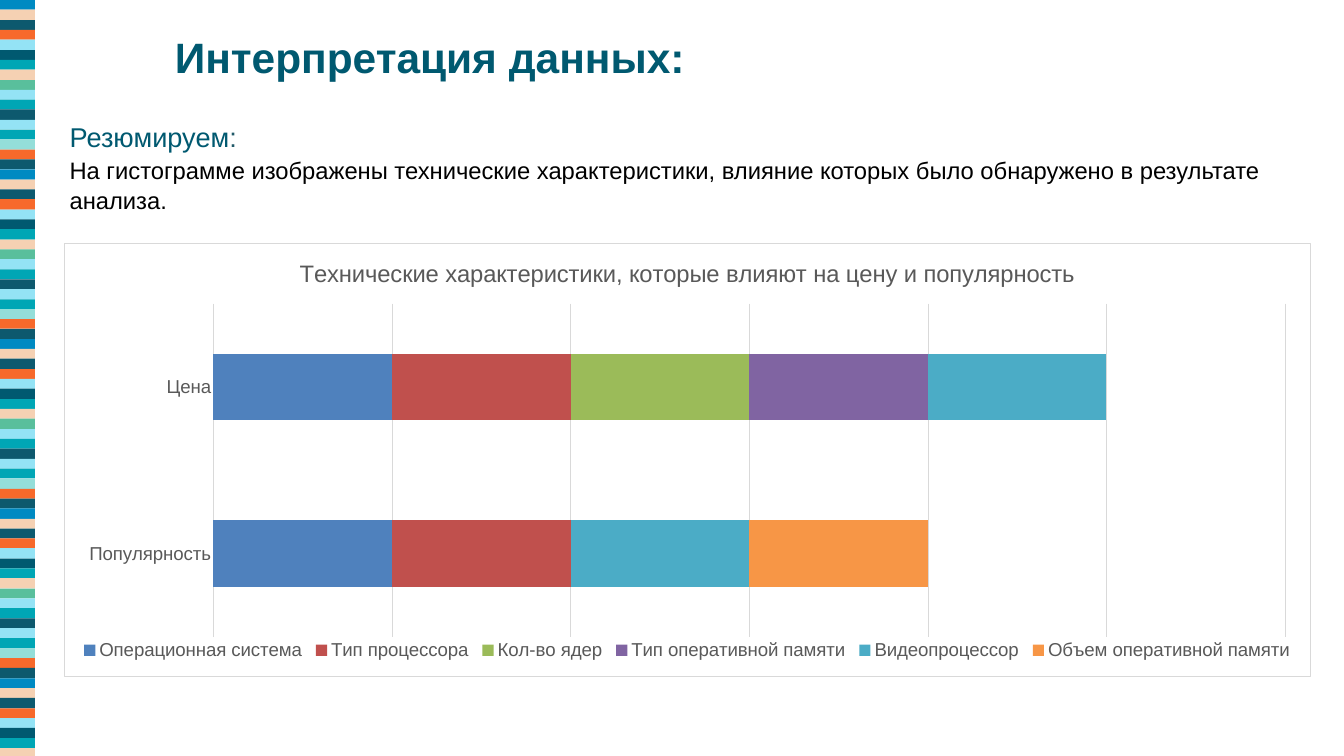
"""Builds the data interpretation slide with its stripe band and stacked bar chart."""
from lxml import etree
from pptx import Presentation
from pptx.chart.data import CategoryChartData
from pptx.dml.color import RGBColor
from pptx.enum.chart import XL_CHART_TYPE as CT, XL_LEGEND_POSITION as LP, XL_TICK_MARK as TM
from pptx.enum.shapes import MSO_SHAPE as SHAPE
from pptx.enum.text import MSO_ANCHOR as ANCHOR, MSO_AUTO_SIZE as FIT, PP_ALIGN as ALIGN
from pptx.oxml import parse_xml
from pptx.oxml.ns import nsdecls, qn
from pptx.util import Pt

PX = 9144
WIDTH, HEIGHT = 2199, 1237
FONT = "Arial"
COLORS = {
    "blue": "008AC2", "peach": "F5D1B3", "petrol": "0D596E", "orange": "F7692B",
    "sky": "94E3F5", "deep": "005970", "teal": "00A6B5", "green": "59BF9C",
    "mint": "94DED9", "slate": "215968", "black": "000000", "white": "FFFFFF",
    "label": "595959", "grid": "D9D9D9",
}
STRIPES = ("blue peach petrol orange sky deep teal peach green sky teal "
           "petrol sky teal mint orange petrol").split()
STRIPE_COUNT, STRIPE_WIDTH, PERIOD = 76, 57, 277.4
CATEGORIES = ["Популярность", "Цена"]
SERIES = [
    ("Операционная система", (100, 100), "4F81BD"),
    ("Тип процессора", (100, 100), "C0504D"),
    ("Кол-во ядер", (0, 100), "9BBB59"),
    ("Тип оперативной памяти", (0, 100), "8064A2"),
    ("Видеопроцессор", (100, 100), "4BACC6"),
    ("Объем оперативной памяти", (100, 0), "F79646"),
]


def rgb(name):
    return RGBColor.from_string(COLORS[name])


def box(*lengths):
    return [n * PX for n in lengths]


def style_font(font, size, color, bold=False):
    font.name, font.size, font.bold = FONT, Pt(size), bold
    font.color.rgb = rgb(color)


def style_line(line):
    line.color.rgb = rgb("grid")
    line.width = Pt(0.75)


def add_stripes(slide):
    group = slide.shapes.add_group_shape()
    edges = [min(round(i * PERIOD / len(STRIPES)), HEIGHT) for i in range(STRIPE_COUNT + 1)]
    for i, (top, bottom) in enumerate(zip(edges, edges[1:])):
        sp = group.shapes.add_shape(SHAPE.RECTANGLE, *box(0, top, STRIPE_WIDTH, bottom - top))
        sp.shadow.inherit = False
        sp.fill.solid()
        sp.fill.fore_color.rgb = rgb(STRIPES[i % len(STRIPES)])
        sp.line.fill.background()


def set_text(sp, place, paragraphs):
    sp.left, sp.top, sp.width, sp.height = box(*place)
    tf = sp.text_frame
    tf.word_wrap = True
    tf.auto_size = FIT.SHAPE_TO_FIT_TEXT
    tf.vertical_anchor = ANCHOR.TOP
    for i, (text, size, color, bold) in enumerate(paragraphs):
        p = tf.add_paragraph() if i else tf.paragraphs[0]
        p.text = text
        p.alignment = ALIGN.LEFT
        p.line_spacing = 1.07
        style_font(p.font, size, color, bold)
    return tf


def add_summary(slide):
    place = (104, 189, 2040, 167)
    tf = set_text(slide.shapes.add_textbox(*box(*place)), place, [
        ("Резюмируем", 32, "deep", False),
        ("На гистограмме изображены технические характеристики, влияние которых "
         "было обнаружено в результате анализа.", 28, "black", False),
    ])
    r = tf.paragraphs[0].add_run()
    r.text = ":"
    r.font.color.rgb = rgb("slate")


def set_layout(parent, index, place, inner=False):
    for old in parent.findall(qn("c:layout")):
        parent.remove(old)
    layout = etree.Element(qn("c:layout"))
    manual = etree.SubElement(layout, qn("c:manualLayout"))
    values = [("layoutTarget", "inner")] if inner else []
    values += [("xMode", "edge"), ("yMode", "edge"), *zip("xywh", place)]
    for tag, value in values:
        etree.SubElement(manual, qn(f"c:{tag}")).set("val", str(value))
    parent.insert(index, layout)


def frame_chart(chart):
    space = chart.element
    space.find(qn("c:chart")).addnext(parse_xml(
        f'<c:spPr {nsdecls("c", "a")}>'
        f'<a:solidFill><a:srgbClr val="{COLORS["white"]}"/></a:solidFill>'
        f'<a:ln w="{Pt(0.75)}"><a:solidFill><a:srgbClr val="{COLORS["grid"]}"/>'
        '</a:solidFill></a:ln></c:spPr>'))


def add_bar_chart(slide):
    data = CategoryChartData()
    data.categories = CATEGORIES
    for name, values, _ in SERIES:
        data.add_series(name, values)
    chart = slide.shapes.add_chart(CT.BAR_STACKED, *box(104, 397, 2040, 710), data).chart
    style_font(chart.font, 10, "black")

    chart.has_title = True
    p = chart.chart_title.text_frame.paragraphs[0]
    p.text = "Технические характеристики, которые влияют на цену и популярность"
    style_font(p.font, 28, "label")
    chart.chart_title.include_in_layout = False

    plot = chart.plots[0]
    plot.gap_width, plot.overlap, plot.vary_by_categories = 150, 100, False
    for series, (_, _, color) in zip(plot.series, SERIES):
        series.format.fill.solid()
        series.format.fill.fore_color.rgb = RGBColor.from_string(color)

    cats, vals = chart.category_axis, chart.value_axis
    cats.major_tick_mark = cats.minor_tick_mark = TM.NONE
    style_font(cats.tick_labels.font, 22, "label")
    style_line(cats.format.line)
    vals.minimum_scale, vals.maximum_scale, vals.major_unit = 0, 600, 100
    vals.has_major_gridlines = True
    style_line(vals.major_gridlines.format.line)
    vals.visible = False

    chart.has_legend = True
    legend = chart.legend
    legend.position = LP.BOTTOM
    legend.include_in_layout = False
    style_font(legend.font, 22, "label")
    set_layout(chart.element.find(".//" + qn("c:plotArea")), 0, (0.12, 0.14, 0.86, 0.77), True)
    set_layout(chart.element.find(".//" + qn("c:legend")), 1, (0.01, 0.9, 0.98, 0.08))
    frame_chart(chart)


def main():
    prs = Presentation()
    prs.slide_width, prs.slide_height = box(WIDTH, HEIGHT)
    slide = prs.slides.add_slide(prs.slide_layouts[5])
    add_stripes(slide)
    set_text(slide.shapes.title, (276, 40, 972, 100),
             [("Интерпретация данных:", 50, "deep", True)])
    add_summary(slide)
    add_bar_chart(slide)
    prs.save("out.pptx")


if __name__ == "__main__":
    main()
